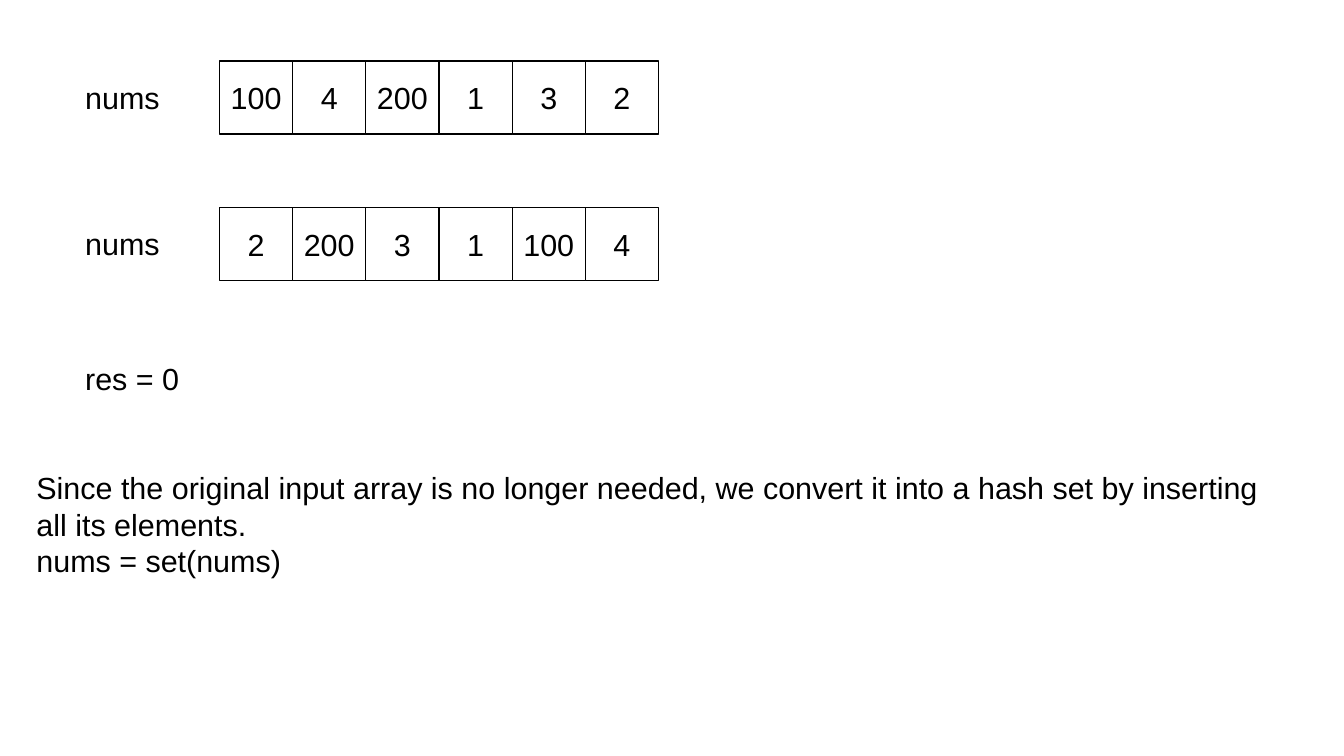
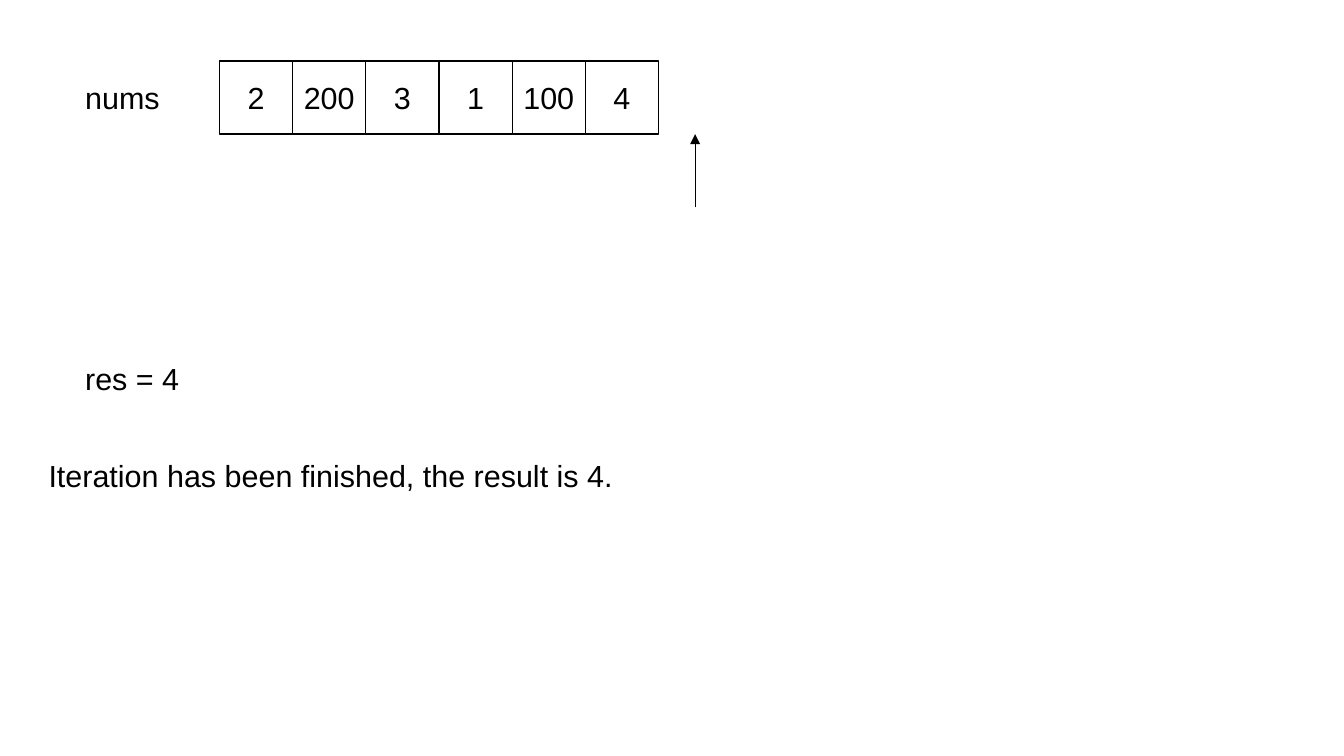
"""Build two slides that trace the longest consecutive sequence with a hash set."""
from dataclasses import dataclass

from lxml.etree import SubElement
from pptx import Presentation
from pptx.dml.color import RGBColor
from pptx.enum.shapes import MSO_CONNECTOR, MSO_SHAPE
from pptx.enum.text import MSO_ANCHOR as Anchor, PP_ALIGN as Align
from pptx.oxml.ns import qn
from pptx.slide import Slide
from pptx.text.text import TextFrame
from pptx.util import Inches, Pt


@dataclass(frozen=True)
class Theme:
    font: str = "Arial"
    size: float = 18
    ink: RGBColor = RGBColor(0, 0, 0)
    paper: RGBColor = RGBColor(255, 255, 255)
    border: float = 0.75
    arrow: float = 0.5


@dataclass(frozen=True)
class ArrayRow:
    values: tuple[int, ...]
    top: float


@dataclass(frozen=True)
class Note:
    lines: tuple[str, ...]
    left: float
    top: float
    height: float


@dataclass(frozen=True)
class Step:
    rows: tuple[ArrayRow, ...]
    result: int
    note: Note
    pointer: int | None = None


THEME = Theme()
CELL = 0.6
ROW_LEFT = 1.8
ROW_TOP = 0.5
LABEL_LEFT = 0.6
LABEL_H = 0.4
NOTE_W = 10.4
HASHED = (2, 200, 3, 1, 100, 4)

STEPS = (
    Step(
        rows=(ArrayRow((100, 4, 200, 1, 3, 2), ROW_TOP), ArrayRow(HASHED, ROW_TOP + 2 * CELL)),
        result=0,
        note=Note(
            (
                "Since the original input array is no longer needed, "
                "we convert it into a hash set by inserting all its elements.",
                "nums = set(nums)",
            ),
            0.2, 3.8, 1.16,
        ),
    ),
    Step(
        rows=(ArrayRow(HASHED, ROW_TOP),),
        result=4,
        note=Note(("Iteration has been finished, the result is 4.",), 0.3, 3.7, 2.1),
        pointer=len(HASHED),
    ),
)


def write(tf: TextFrame, *lines: str, align: Align = Align.LEFT,
          anchor: Anchor = Anchor.TOP, wrap: bool = True) -> None:
    """Fill a text frame with one paragraph per line."""
    tf.word_wrap = wrap
    tf.vertical_anchor = anchor
    for i, line in enumerate(lines):
        p = tf.add_paragraph() if i else tf.paragraphs[0]
        p.alignment = align
        r = p.add_run()
        r.text = line
        r.font.name = THEME.font
        r.font.size = Pt(THEME.size)
        r.font.color.rgb = THEME.ink


def add_text(s: Slide, left: float, top: float, width: float, height: float, *lines: str) -> None:
    """Add a left-aligned text box."""
    box = s.shapes.add_textbox(Inches(left), Inches(top), Inches(width), Inches(height))
    write(box.text_frame, *lines)


def add_row(s: Slide, row: ArrayRow) -> None:
    """Draw an array as a labelled row of square cells."""
    for i, value in enumerate(row.values):
        sp = s.shapes.add_shape(MSO_SHAPE.RECTANGLE, Inches(ROW_LEFT + i * CELL),
                                Inches(row.top), Inches(CELL), Inches(CELL))
        sp.shadow.inherit = False
        sp.fill.solid()
        sp.fill.fore_color.rgb = THEME.paper
        sp.line.color.rgb = THEME.ink
        sp.line.width = Pt(THEME.border)
        write(sp.text_frame, str(value), align=Align.CENTER, anchor=Anchor.MIDDLE, wrap=False)
    add_text(s, LABEL_LEFT, row.top + (CELL - LABEL_H) / 2, 0.9, LABEL_H, "nums")


def add_pointer(s: Slide, index: int) -> None:
    """Draw an upward arrow below the given position of the first row."""
    x = Inches(ROW_LEFT + (index + 0.5) * CELL)
    tip = ROW_TOP + CELL
    arrow = s.shapes.add_connector(MSO_CONNECTOR.STRAIGHT, x, Inches(tip + CELL), x, Inches(tip))
    arrow.line.color.rgb = THEME.ink
    arrow.line.width = Pt(THEME.arrow)
    SubElement(arrow.line._get_or_add_ln(), qn("a:tailEnd"), type="triangle")
    SubElement(arrow._element.spPr, qn("a:effectLst"))


def add_step(s: Slide, step: Step) -> None:
    """Draw one step of the trace."""
    for row in step.rows:
        add_row(s, row)
    if step.pointer is not None:
        add_pointer(s, step.pointer)
    add_text(s, LABEL_LEFT, 2.9, 1.1, LABEL_H, f"res = {step.result}")
    note = step.note
    add_text(s, note.left, note.top, NOTE_W, note.height, *note.lines)


def main() -> None:
    """Build and save the presentation."""
    prs = Presentation()
    prs.slide_width, prs.slide_height = Inches(11.02), Inches(6.2)
    for step in STEPS:
        add_step(prs.slides.add_slide(prs.slide_layouts[6]), step)
    prs.save("out.pptx")


if __name__ == "__main__":
    main()
